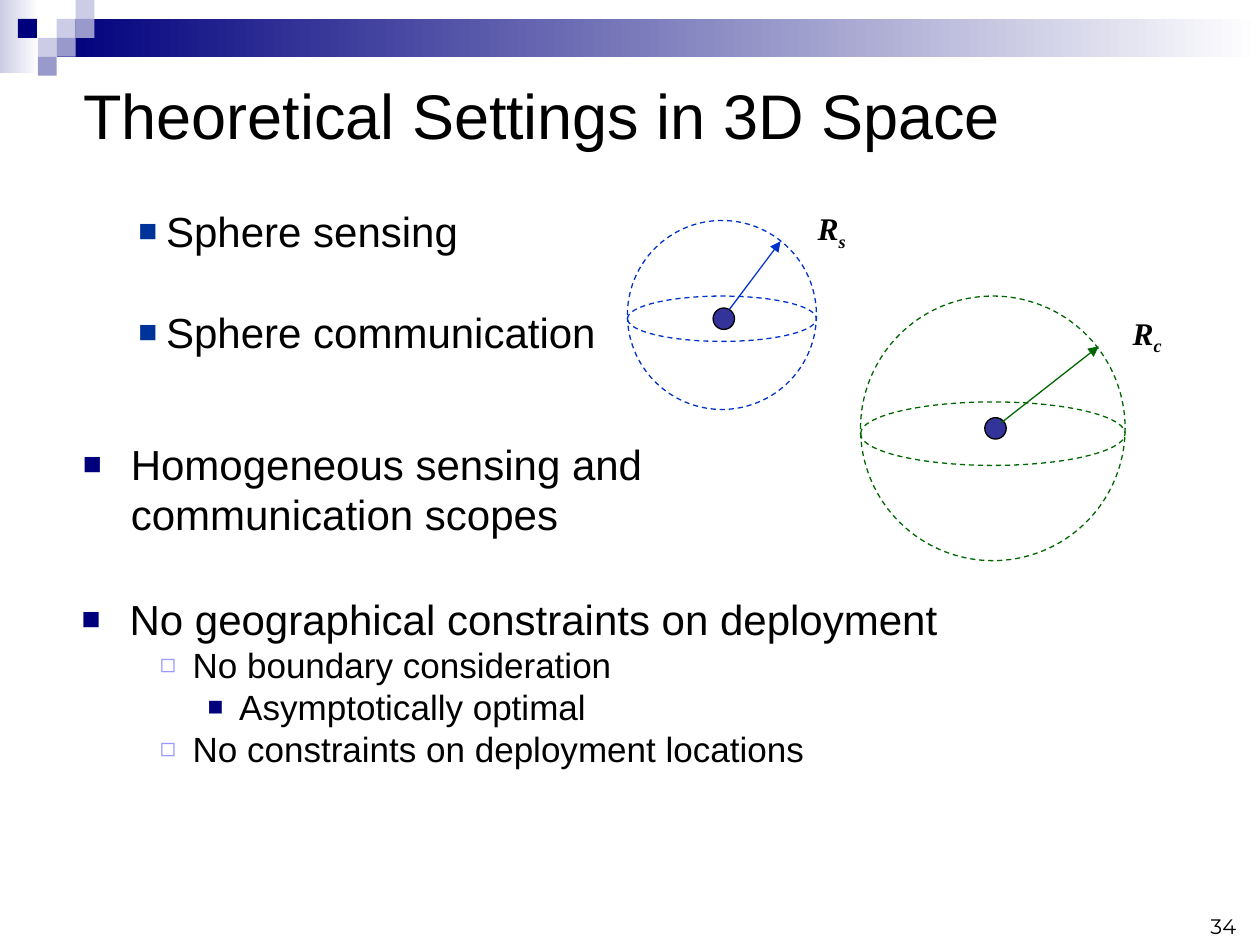
from lxml.etree import SubElement
from pptx import Presentation
from pptx.dml.color import RGBColor
from pptx.enum.dml import MSO_LINE
from pptx.enum.shapes import MSO_CONNECTOR, MSO_SHAPE
from pptx.enum.text import MSO_ANCHOR, PP_ALIGN
from pptx.oxml.ns import qn
from pptx.util import Inches, Pt

COLUMNS, ROWS = 100, 75
CELL = Inches(10) // COLUMNS
BLACK, NAVY, LILAC, MAUVE = "000000", "00007D", "CCCCE6", "9999CC"
BLUE, GREEN, INDIGO = "0033CC", "006600", "333399"


def rgb(value):
    return RGBColor.from_string(value)


def cells(*values):
    return [round(v * CELL) for v in values]


def within(box, x, y, w, h):
    left, top, width, height = box
    return left + x * width, top + y * height, w * width, h * height


def style(r, size, name="Arial"):
    r.font.size = Pt(size)
    r.font.name = name
    r.font.color.rgb = rgb(BLACK)


def add_text(s, box, wrap=True):
    tf = s.shapes.add_textbox(*cells(*box)).text_frame
    tf.word_wrap = wrap
    return tf


def add_shape(s, kind, box, fill=None, line=None, dashed=False):
    sp = s.shapes.add_shape(kind, *cells(*box))
    sp.shadow.inherit = False
    if isinstance(fill, tuple):
        sp.fill.gradient()
        sp.fill.gradient_angle = 0
        for stop, color in zip(sp.fill.gradient_stops, fill):
            stop.color.rgb = rgb(color)
    elif fill:
        sp.fill.solid()
        sp.fill.fore_color.rgb = rgb(fill)
    else:
        sp.fill.background()
    if line:
        sp.line.color.rgb = rgb(line)
        sp.line.width = Pt(0.75)
        if dashed:
            sp.line.dash_style = MSO_LINE.DASH
    else:
        sp.line.fill.background()


def add_banner(s, box):
    left, top, width, height = box
    unit = height / 4
    add_shape(s, MSO_SHAPE.RECTANGLE, (left, top, 3.1, 5.8), (LILAC, "FFFFFF"))
    add_shape(s, MSO_SHAPE.RECTANGLE,
              (left + 3 * unit, top + unit, width - 3 * unit, 2 * unit), (NAVY, "FFFFFF"))
    tiles = [(3, 1, LILAC), (4, 0, LILAC), (4, 1, MAUVE), (2, 2, LILAC),
             (0.95, 1, NAVY), (3, 2, MAUVE), (2, 3, MAUVE)]
    for column, row, color in tiles:
        add_shape(s, MSO_SHAPE.RECTANGLE,
                  (left + column * unit, top + row * unit, unit, unit), color)


def add_title(s, box, text):
    sp = s.shapes.title
    sp.left, sp.top, sp.width, sp.height = cells(*box)
    tf = sp.text_frame
    tf.text = text
    tf.word_wrap = True
    tf.vertical_anchor = MSO_ANCHOR.TOP
    p = tf.paragraphs[0]
    p.alignment = PP_ALIGN.LEFT
    style(p.runs[0], 36)


def set_bullet(p, margin, indent, mark, color):
    pPr = p._p.get_or_add_pPr()
    pPr.set("marL", str(Inches(margin)))
    pPr.set("indent", str(Inches(indent)))
    SubElement(SubElement(pPr, qn("a:buClr")), qn("a:srgbClr")).set("val", color)
    SubElement(pPr, qn("a:buSzPct")).set("val", "75000")
    SubElement(pPr, qn("a:buFont")).set("typeface", "Arial")
    SubElement(pPr, qn("a:buChar")).set("char", mark)


LEVELS = {
    "inset": (0.66, -0.22, "■", "003399", 24),
    "top": (0.38, -0.38, "■", NAVY, 24),
    "sub": (0.88, -0.26, "◻", "9999FF", 20),
    "detail": (1.25, -0.25, "■", NAVY, 20),
}


def add_bullets(s, box, items, gap=0, inset=0.05):
    tf = add_text(s, box)
    tf.margin_top = Inches(inset)
    for i, (level, text) in enumerate(items):
        p = tf.add_paragraph() if i else tf.paragraphs[0]
        p.text = text
        if i and gap:
            p.space_before = Pt(gap)
        *bullet, size = LEVELS[level]
        set_bullet(p, *bullet)
        style(p.runs[0], size)


def add_arrow(s, start, end, color):
    line = s.shapes.add_connector(MSO_CONNECTOR.STRAIGHT, *cells(*start, *end))
    line.line.color.rgb = rgb(color)
    line.line.width = Pt(0.75)
    SubElement(line.line._get_or_add_ln(), qn("a:tailEnd")).set("type", "triangle")
    SubElement(line._element.spPr, qn("a:effectLst"))


def add_sphere(s, box, color, center, start, end, label_box, subscript):
    dot = 1.7
    add_shape(s, MSO_SHAPE.OVAL, box, line=color, dashed=True)
    add_shape(s, MSO_SHAPE.OVAL, within(box, 0, 0.4, 1, 0.24), line=color, dashed=True)
    x, y = within(box, *center, 0, 0)[:2]
    add_shape(s, MSO_SHAPE.OVAL, (x - dot / 2, y - dot / 2, dot, dot), INDIGO, BLACK)
    add_arrow(s, within(box, *start, 0, 0)[:2], within(box, *end, 0, 0)[:2], color)
    p = add_text(s, label_box).paragraphs[0]
    for text in ("R", subscript):
        r = p.add_run()
        r.text = text
        style(r, 18, "Times New Roman")
        r.font.bold = r.font.italic = True
    r.font._element.set("baseline", "-25000")


def add_page_number(s, box, text):
    tf = add_text(s, box)
    tf.text = text
    tf.vertical_anchor = MSO_ANCHOR.BOTTOM
    p = tf.paragraphs[0]
    p.alignment = PP_ALIGN.RIGHT
    style(p.runs[0], 12, "Montserrat")


def main():
    prs = Presentation()
    prs.slide_width, prs.slide_height = COLUMNS * CELL, ROWS * CELL
    s = prs.slides.add_slide(prs.slide_layouts[5])
    add_banner(s, (0, 0, COLUMNS, 6))
    add_page_number(s, (75.8, 70, 23.3, 5), "34")
    add_title(s, (5.6, 5.6, 85.8, 7), "Theoretical Settings in 3D Space")
    add_bullets(s, (5.6, 15.8, 48.1, 13),
                [("inset", "Sphere sensing"), ("inset", "Sphere communication")], gap=29)
    add_sphere(s, (49.8, 17.5, 15, 15), BLUE, (0.51, 0.52), (0.54, 0.47), (0.81, 0.11),
               (63.9, 16.1, 6.4, 4.4), "s")
    add_sphere(s, (68.3, 23.5, 21, 21), GREEN, (0.51, 0.5), (0.53, 0.48), (0.9, 0.19),
               (88.9, 24.4, 5, 4.4), "c")
    add_bullets(s, (5.6, 34.3, 60, 9.1),
                [("top", "Homogeneous sensing and communication scopes")])
    add_bullets(s, (5.5, 46.1, 90.5, 15.7),
                [("top", "No geographical constraints on deployment"),
                 ("sub", "No boundary consideration"),
                 ("detail", "Asymptotically optimal"),
                 ("sub", "No constraints on deployment locations")], inset=0.1)
    prs.save("out.pptx")


if __name__ == "__main__":
    main()
